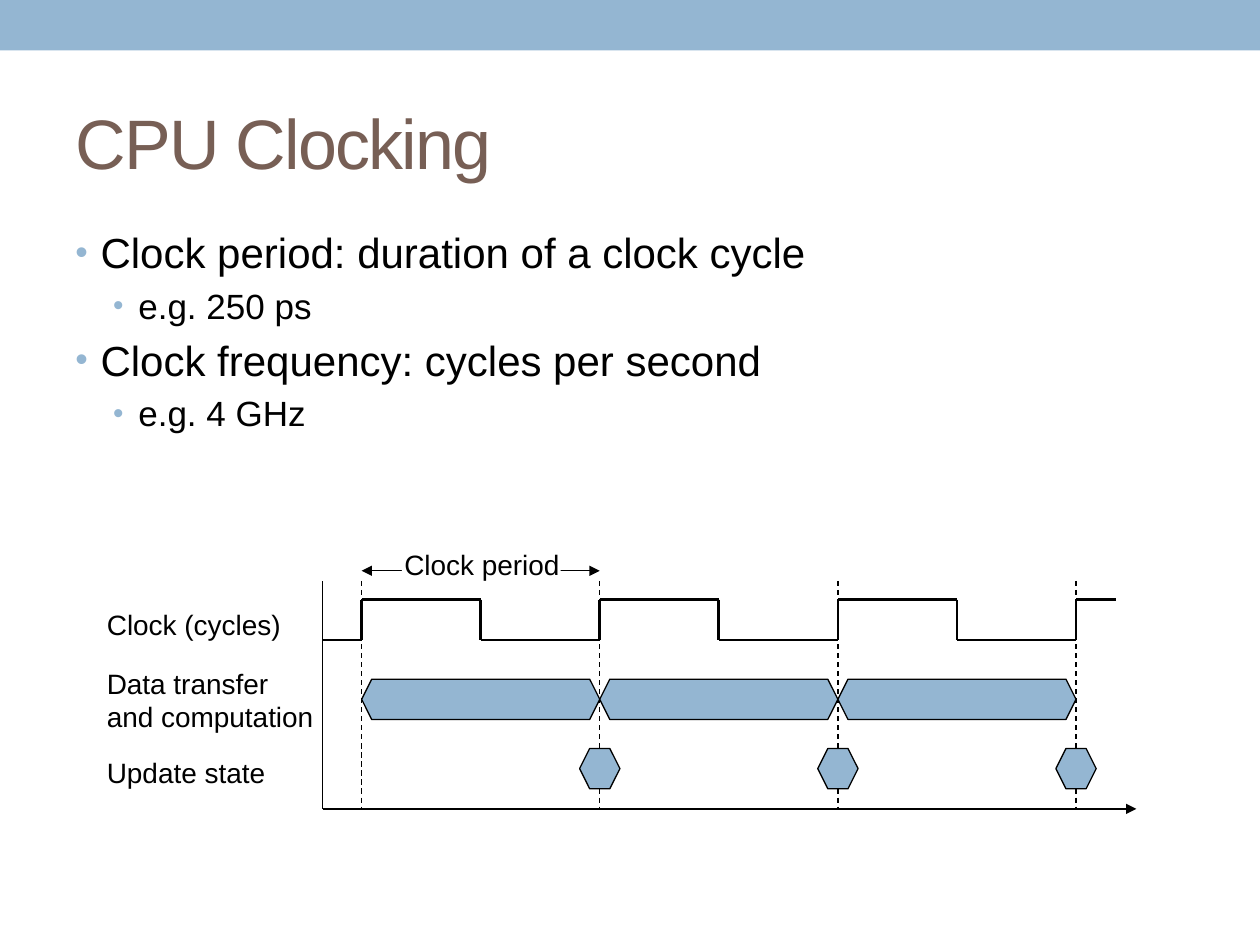
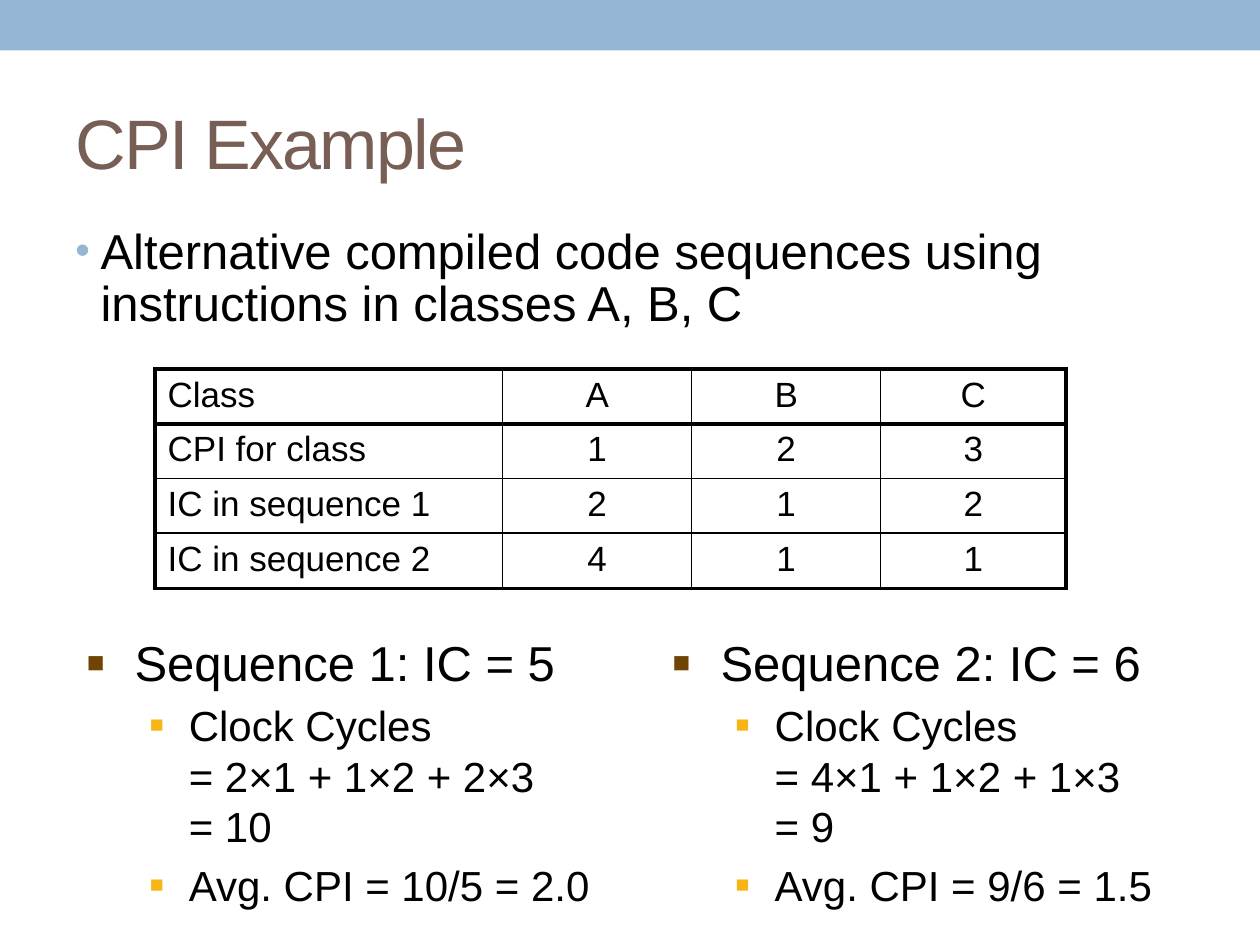
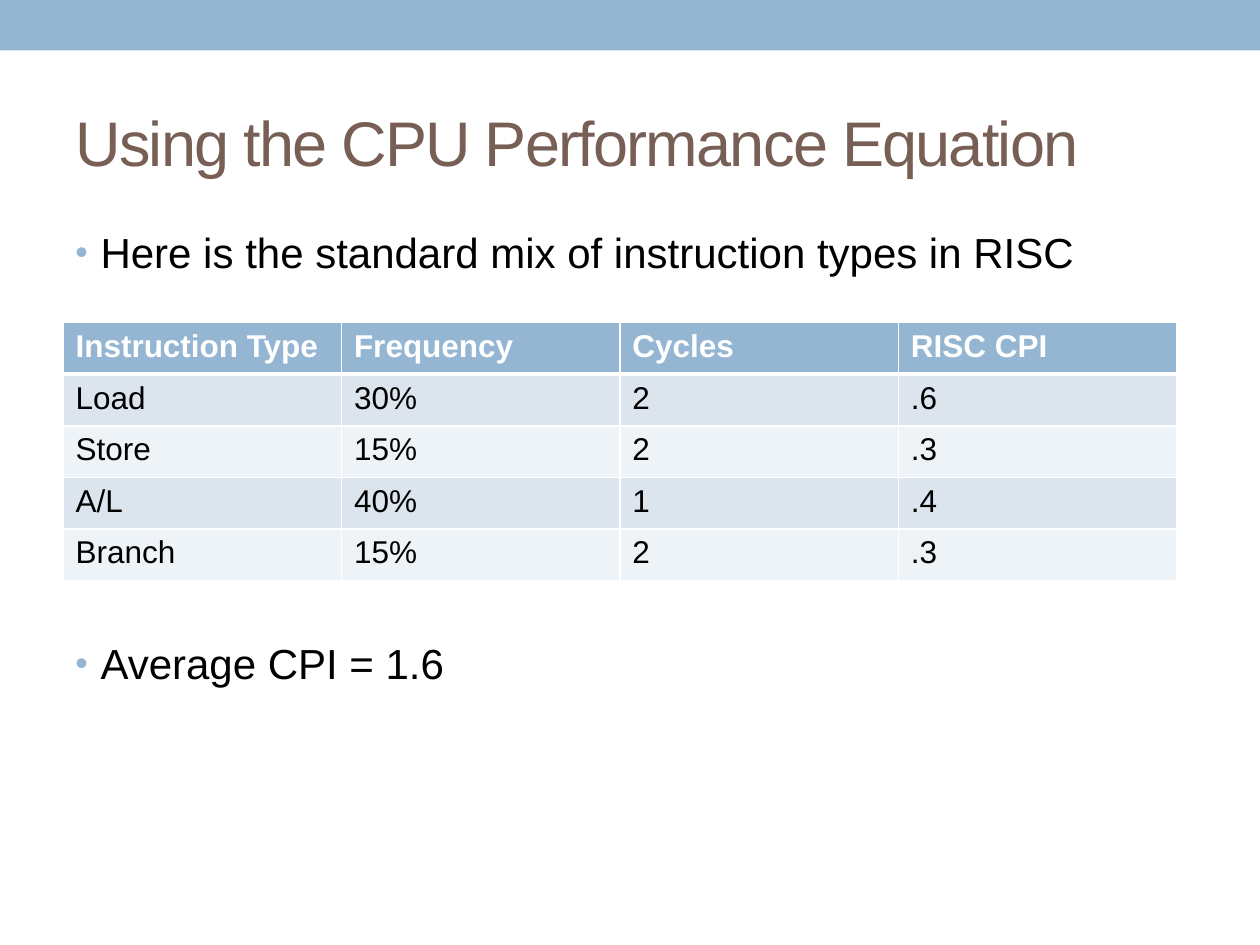
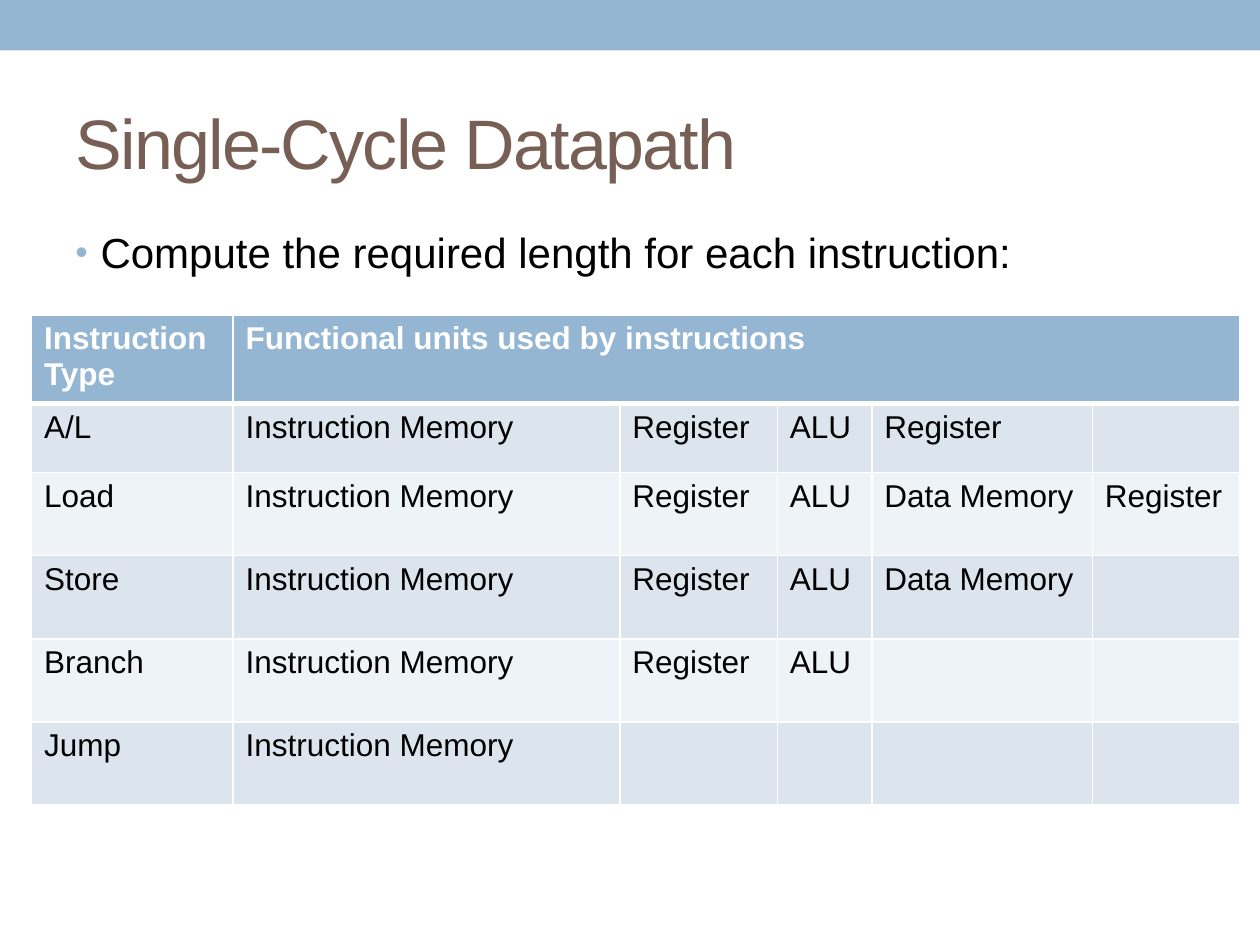
from lxml import etree
from pptx import Presentation
from pptx.dml.color import RGBColor
from pptx.enum.dml import MSO_LINE
from pptx.enum.shapes import MSO_CONNECTOR, MSO_SHAPE
from pptx.enum.text import MSO_ANCHOR, MSO_AUTO_SIZE, PP_ALIGN
from pptx.oxml.ns import qn
from pptx.util import Inches, Pt

STRAIGHT = MSO_CONNECTOR.STRAIGHT
RECTANGLE = MSO_SHAPE.RECTANGLE
DASH = MSO_LINE.DASH
MIDDLE = MSO_ANCHOR.MIDDLE
FIT_SHAPE = MSO_AUTO_SIZE.SHAPE_TO_FIT_TEXT
LEFT = PP_ALIGN.LEFT
CENTER = PP_ALIGN.CENTER

FONT = "Arial"
BLUE = RGBColor(0x94, 0xB6, 0xD2)
BROWN = RGBColor(0x77, 0x5F, 0x55)
DARK_BROWN = RGBColor(0x70, 0x44, 0x04)
AMBER = RGBColor(0xF7, 0xB6, 0x15)
BLACK = RGBColor(0, 0, 0)
WHITE = RGBColor(0xFF, 0xFF, 0xFF)
BAND_DARK = RGBColor(0xDC, 0xE5, 0xEE)
BAND_LIGHT = RGBColor(0xEE, 0xF3, 0xF7)

BODY_LEVELS = [(0.2, 0.2, "•", BLUE, 85), (0.5, 0.2, "•", BLUE, 85)]
SEQUENCE_LEVELS = [(0.38, 0.38, "■", DARK_BROWN, 60), (0.81, 0.31, "■", AMBER, 55)]


def add_element(parent, tag, **attributes):
    values = {name: str(value) for name, value in attributes.items()}
    return etree.SubElement(parent, qn(tag), values)


def add_text(paragraph, text, size, color=BLACK, bold=False):
    for index, line in enumerate(text.split("\n")):
        if index:
            paragraph.add_line_break()
        run = paragraph.add_run()
        run.text = line
        run.font.name = FONT
        run.font.size = Pt(size)
        run.font.color.rgb = color
        run.font.bold = bold
    return run


def set_relative_space_before(paragraph, percent=20):
    spacing = add_element(paragraph._p.get_or_add_pPr(), "a:spcBef")
    add_element(spacing, "a:spcPct", val=percent * 1000)


def set_bullet(paragraph, level):
    indent, hanging, character, color, percent = level
    properties = paragraph._p.get_or_add_pPr()
    properties.set("marL", str(Inches(indent)))
    properties.set("indent", str(-Inches(hanging)))
    bullet_color = add_element(properties, "a:buClr")
    add_element(bullet_color, "a:srgbClr", val=color)
    add_element(properties, "a:buSzPct", val=percent * 1000)
    add_element(properties, "a:buFont", typeface=FONT)
    add_element(properties, "a:buChar", char=character)


def add_text_frame(slide, left, top, width, height, wrap=True):
    box = slide.shapes.add_textbox(Inches(left), Inches(top), Inches(width), Inches(height))
    box.text_frame.word_wrap = wrap
    return box.text_frame


def add_bullets(slide, items, levels=BODY_LEVELS, area=(0.5, 1.75, 9, 5.33)):
    frame = add_text_frame(slide, *area)
    for index, (level, text, size) in enumerate(items):
        paragraph = frame.add_paragraph() if index else frame.paragraphs[0]
        paragraph.level = level
        set_relative_space_before(paragraph)
        set_bullet(paragraph, levels[level])
        add_text(paragraph, text, size)
    return frame


def add_label(slide, text, left, top, width, height=0.37, alignment=LEFT):
    frame = add_text_frame(slide, left, top, width, height, wrap=False)
    frame.auto_size = FIT_SHAPE
    frame.paragraphs[0].alignment = alignment
    add_text(frame.paragraphs[0], text, 16)


def add_rectangle(slide, left, top, width, height, color):
    shape = slide.shapes.add_shape(
        RECTANGLE, Inches(left), Inches(top), Inches(width), Inches(height)
    )
    shape.shadow.inherit = False
    shape.fill.solid()
    shape.fill.fore_color.rgb = color
    shape.line.fill.background()


def add_line(slide, start, end, weight=0.75, dash=None, head=False, tail=False):
    connector = slide.shapes.add_connector(
        STRAIGHT, *[Inches(value) for value in (*start, *end)]
    )
    connector.line.color.rgb = BLACK
    connector.line.width = Pt(weight)
    if dash:
        connector.line.dash_style = dash
    outline = connector.line._get_or_add_ln()
    if head:
        add_element(outline, "a:headEnd", type="triangle")
    if tail:
        add_element(outline, "a:tailEnd", type="triangle")
    add_element(connector._element.spPr, "a:effectLst")


def add_hexagon(slide, left, top, width, height=0.32, corner=0.08):
    right, middle, bottom = left + width, top + height / 2, top + height
    points = [
        (left + corner, top), (right - corner, top), (right, middle),
        (right - corner, bottom), (left + corner, bottom),
    ]
    builder = slide.shapes.build_freeform(Inches(left), Inches(middle))
    builder.add_line_segments([(Inches(x), Inches(y)) for x, y in points], close=True)
    shape = builder.convert_to_shape()
    shape.shadow.inherit = False
    shape.fill.solid()
    shape.fill.fore_color.rgb = BLUE
    shape.line.color.rgb = BLACK
    shape.line.width = Pt(0.75)


def set_borders(cell, color, **weights):
    properties = cell._tc.get_or_add_tcPr()
    for side in "LRTB":
        border = add_element(properties, f"a:ln{side}", w=Pt(weights[side]))
        fill = add_element(border, "a:solidFill")
        add_element(fill, "a:srgbClr", val=color)


def add_grid(slide, left, top, widths, heights, rows, line_color, outer, header):
    frame = slide.shapes.add_table(
        len(rows), len(widths), Inches(left), Inches(top),
        Inches(sum(widths)), Inches(sum(heights)),
    )
    table = frame.table
    table.first_row = table.horz_banding = False
    for column, width in zip(table.columns, widths):
        column.width = Inches(width)
    for row, height in zip(table.rows, heights):
        row.height = Inches(height)
    last_row, last_column = len(rows) - 1, len(widths) - 1
    for row in range(len(rows)):
        for column in range(len(widths)):
            set_borders(
                table.cell(row, column), line_color,
                L=outer if column == 0 else 1,
                R=outer if column == last_column else 1,
                T={0: outer, 1: header}.get(row, 1),
                B={0: header, last_row: outer}.get(row, 1),
            )
    return table


def add_plain_table(slide, left, top, widths, heights, rows):
    table = add_grid(slide, left, top, widths, heights, rows, BLACK, outer=2.25, header=2.25)
    for row, texts in enumerate(rows):
        for column, text in enumerate(texts):
            cell = table.cell(row, column)
            cell.fill.background()
            paragraph = cell.text_frame.paragraphs[0]
            paragraph.alignment = CENTER if column else LEFT
            set_relative_space_before(paragraph)
            add_text(paragraph, text, 20)


def add_banded_table(slide, left, top, widths, heights, rows):
    table = add_grid(slide, left, top, widths, heights, rows, WHITE, outer=1, header=3)
    for row in range(len(rows)):
        is_header = row == 0
        for column in range(len(widths)):
            cell = table.cell(row, column)
            cell.fill.solid()
            cell.fill.fore_color.rgb = (
                BLUE if is_header else BAND_DARK if row % 2 else BAND_LIGHT
            )
        for column, text in enumerate(rows[row]):
            paragraph = table.cell(row, column).text_frame.paragraphs[0]
            add_text(paragraph, text, 18, WHITE if is_header else BLACK, is_header)
    return table


def add_titled_slide(presentation, title, size=40):
    slide = presentation.slides.add_slide(presentation.slide_layouts[6])
    add_rectangle(slide, 0, 0, 10, 0.4, BLUE)
    frame = add_text_frame(slide, 0.5, 0.58, 9, 1.08)
    frame.vertical_anchor = MIDDLE
    run = add_text(frame.paragraphs[0], title, size, BROWN)
    run.font._element.set("spc", "-100")
    return slide


def add_timing_diagram(slide):
    axis_left, axis_top, axis_bottom = 2.56, 4.61, 6.42
    high, low = 4.76, 5.08
    period = 1.89
    edges = [2.87 + period * index for index in range(4)]
    cycle_starts, last_edge = edges[:-1], edges[-1]

    add_line(slide, (edges[0], 4.53), (edges[1], 4.53), head=True, tail=True)
    for edge in edges:
        add_line(slide, (edge, axis_top), (edge, axis_bottom), dash=DASH)

    clock_segments = [((axis_left, low), (edges[0], low))]
    for start in cycle_starts:
        fall, end = start + period / 2, start + period
        clock_segments += [
            ((start, high), (fall, high)),
            ((start, high), (start, low)),
            ((fall, high), (fall, low)),
            ((fall, low), (end, low)),
        ]
    clock_segments += [
        ((last_edge, high), (last_edge, low)),
        ((last_edge, high), (8.86, high)),
    ]
    for start, end in clock_segments:
        add_line(slide, start, end, weight=1.5)

    for edge in edges[1:]:
        add_hexagon(slide, edge - 0.16, 5.94, 0.32)
    add_line(slide, (axis_left, axis_bottom), (9.02, axis_bottom), tail=True)
    add_line(slide, (axis_left, axis_bottom), (axis_left, axis_top))

    add_label(slide, "Clock (cycles)", 0.75, 4.77, 1.58)
    add_label(slide, "Data transfer\nand computation", 0.75, 5.24, 1.84, 0.64)
    add_label(slide, "Update state", 0.75, 5.95, 1.46)
    add_rectangle(slide, 3.19, 4.45, 1.26, 0.16, WHITE)
    add_label(slide, "Clock period", 3.11, 4.3, 1.43, alignment=CENTER)
    for start in cycle_starts:
        add_hexagon(slide, start, 5.39, period)


def build_clocking(presentation):
    slide = add_titled_slide(presentation, "CPU Clocking")
    add_bullets(slide, [
        (0, "Clock period: duration of a clock cycle", 24),
        (1, "e.g. 250 ps", 20),
        (0, "Clock frequency: cycles per second", 24),
        (1, "e.g. 4 GHz", 20),
    ])
    add_timing_diagram(slide)


def build_cpi_example(presentation):
    slide = add_titled_slide(presentation, "CPI Example")
    frame = add_bullets(slide, [
        (0, "Alternative compiled code sequences using instructions in classes A, B, C", 28),
    ])
    frame.paragraphs[0].line_spacing = 0.9
    add_plain_table(slide, 1.23, 2.93, [2.76, 1.5, 1.5, 1.47], [0.43] * 3 + [0.44], [
        ["Class", "A", "B", "C"],
        ["CPI for class", "1", "2", "3"],
        ["IC in sequence 1", "2", "1", "2"],
        ["IC in sequence 2", "4", "1", "1"],
    ])
    sequences = [
        (0.59, "Sequence 1: IC = 5", "2×1 + 1×2 + 2×3", "10", "10/5 = 2.0"),
        (5.24, "Sequence 2: IC = 6", "4×1 + 1×2 + 1×3", "9", "9/6 = 1.5"),
    ]
    for left, heading, terms, cycles, average in sequences:
        add_bullets(slide, [
            (0, heading, 28),
            (1, f"Clock Cycles\n= {terms}\n= {cycles}", 24),
            (1, f"Avg. CPI = {average}", 24),
        ], SEQUENCE_LEVELS, (left, 4.97, 4.25, 2.28))


def build_performance_equation(presentation):
    slide = add_titled_slide(presentation, "Using the CPU Performance Equation", 36)
    frame = add_bullets(slide, [
        (0, "Here is the standard mix of instruction types in RISC", 24),
        (0, "Average CPI = 1.6", 24),
    ])
    frame.paragraphs[1].space_before = Pt(206)
    add_banded_table(slide, 0.5, 2.56, [2.21] * 4, [0.41] * 5, [
        ["Instruction Type", "Frequency", "Cycles", "RISC CPI"],
        ["Load", "30%", "2", ".6"],
        ["Store", "15%", "2", ".3"],
        ["A/L", "40%", "1", ".4"],
        ["Branch", "15%", "2", ".3"],
    ])


def build_datapath(presentation):
    slide = add_titled_slide(presentation, "Single-Cycle Datapath")
    add_bullets(slide, [(0, "Compute the required length for each instruction:", 24)])
    widths = [1.6, 3.07, 1.25, 0.75, 1.75, 1.17]
    heights = [0.65, 0.55] + [0.66] * 4
    fetch = "Instruction Memory"
    table = add_banded_table(slide, 0.25, 2.5, widths, heights, [
        ["Instruction Type", "Functional units used by instructions"],
        ["A/L", fetch, "Register", "ALU", "Register"],
        ["Load", fetch, "Register", "ALU", "Data Memory", "Register"],
        ["Store", fetch, "Register", "ALU", "Data Memory"],
        ["Branch", fetch, "Register", "ALU"],
        ["Jump", fetch],
    ])
    table.rows[0].height = Inches(0.61)
    table.cell(0, 1).merge(table.cell(0, 5))


def main():
    presentation = Presentation()
    presentation.slide_width = Inches(10)
    presentation.slide_height = Inches(7.5)
    build_clocking(presentation)
    build_cpi_example(presentation)
    build_performance_equation(presentation)
    build_datapath(presentation)
    presentation.save("out.pptx")


if __name__ == "__main__":
    main()
